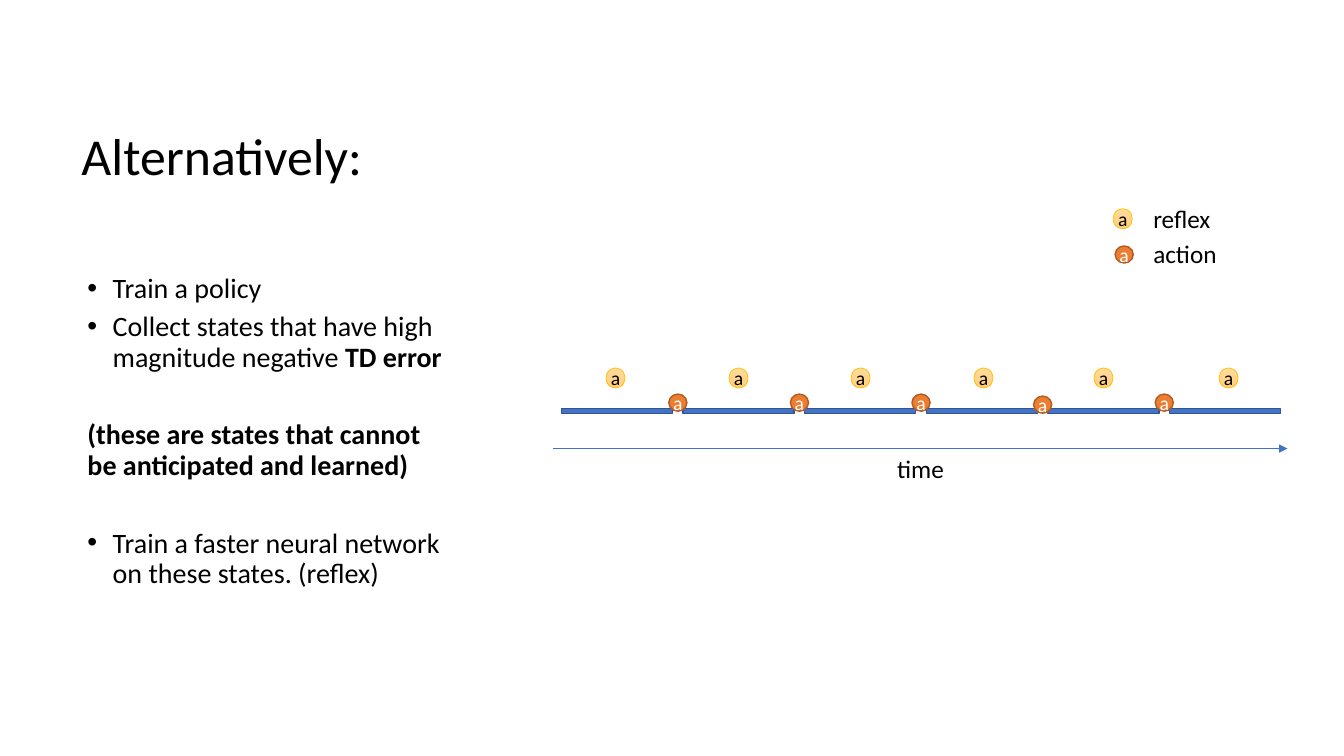
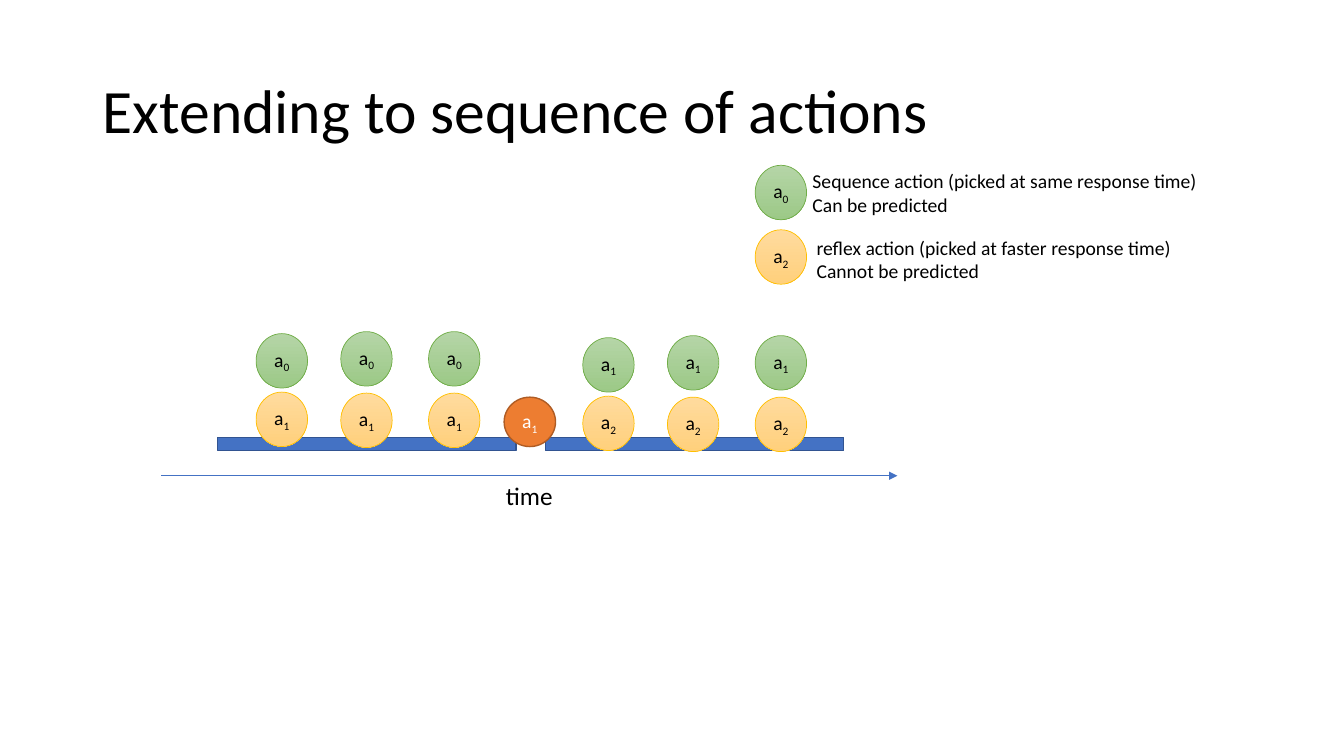
from lxml import etree
from pptx import Presentation
from pptx.dml.color import RGBColor
from pptx.enum.shapes import MSO_CONNECTOR, MSO_SHAPE
from pptx.enum.text import MSO_ANCHOR, PP_ALIGN
from pptx.oxml.ns import qn
from pptx.util import Inches, Pt

# Shared look
FONT = "Calibri"
BLACK, WHITE, BLUE = "000000", "FFFFFF", "4472C4"
BAR = {"fill": [BLUE], "line": "325491", "width": 1}
DISCS = {
    "action": {"fill": ["ED7D31"], "line": "AF5C24", "width": 1, "color": WHITE},
    "reflex": {"fill": ["FFDB9E", "FFD07C"], "line": "FFC000", "width": 0.5, "color": BLACK},
    "sequence": {"fill": ["B5D5A7", "9CC987"], "line": "70AD47", "width": 0.5, "color": BLACK},
}

# Slide 1 content: bulleted, space after, runs of (text, bold)
STEPS = [
    (True, 6, [("Train a policy", False)]),
    (True, 34, [("Collect states that have high magnitude negative ", False),
                ("TD error", True)]),
    (False, 34, [("(these are states that cannot be anticipated and learned)", True)]),
    (True, 6, [("Train a faster neural network on these states. (reflex)", False)]),
]
SMALL = {"action": (0.18, 0.17), "reflex": (0.19, 0.2)}
REFLEX_X = [6.01, 7.23, 8.44, 9.66, 10.85, 12.09]
ACTION_Y = [3.91, 3.91, 3.91, 3.93, 3.91]
KEYS = [("reflex", 11.04, 2.07, 1.97), ("action", 11.06, 2.44, 2.32)]

# Slide 2 content
BIG = (0.51, 0.54)
GROUPS = [(2.54, 3.29, "0", "1"), (5.78, 3.33, "1", "2")]
COLUMNS = [(0, 0.02, 0.6), (0.84, 0, 0.61), (1.71, 0, 0.61)]
LEGEND = [
    ("sequence", "0", 1.64, 7.96, 1.63,
     ["Sequence action (picked at same response time)", "Can be predicted"]),
    ("reflex", "2", 2.28, 8, 2.29,
     ["reflex action (picked at faster response time)", "Cannot be predicted"]),
]


def rgb(code):
    return RGBColor.from_string(code)


def add_run(para, text, size, color=BLACK, bold=False):
    run = para.add_run()
    run.text = text
    look = {"name": FONT, "size": Pt(size), "bold": bold}
    for key, value in look.items():
        setattr(run.font, key, value)
    run.font.color.rgb = rgb(color)
    return run


def add_box(slide, box):
    frame = slide.shapes.add_textbox(*map(Inches, box)).text_frame
    frame.word_wrap = True
    return frame


def add_text(slide, box, lines, size, align=PP_ALIGN.LEFT):
    frame = add_box(slide, box)
    for i, line in enumerate(lines):
        para = frame.add_paragraph() if i else frame.paragraphs[0]
        para.alignment = align
        add_run(para, line, size)
    return frame


def add_title(slide, box, text, size):
    frame = add_text(slide, box, [text], size)
    frame.vertical_anchor = MSO_ANCHOR.MIDDLE
    frame.paragraphs[0].line_spacing = 0.9


def add_shape(slide, kind, box, style):
    shape = slide.shapes.add_shape(kind, *map(Inches, box))
    shape.shadow.inherit = False
    if len(style["fill"]) == 1:
        shape.fill.solid()
        shape.fill.fore_color.rgb = rgb(style["fill"][0])
    else:
        shape.fill.gradient()
        shape.fill.gradient_angle = 270
        for stop, code in zip(shape.fill.gradient_stops, style["fill"]):
            stop.color.rgb = rgb(code)
    shape.line.color.rgb = rgb(style["line"])
    shape.line.width = Pt(style["width"])
    return shape


def add_disc(slide, kind, x, y, size, sub=""):
    style = DISCS[kind]
    frame = add_shape(slide, MSO_SHAPE.OVAL, (x, y, *size), style).text_frame
    frame.word_wrap = False
    frame.vertical_anchor = MSO_ANCHOR.MIDDLE
    for side in ("left", "right", "top", "bottom"):
        setattr(frame, f"margin_{side}", 0)
    para = frame.paragraphs[0]
    para.alignment = PP_ALIGN.CENTER
    add_run(para, "a", 14, style["color"])
    if sub:
        run = add_run(para, sub, 14, style["color"])
        run.font._element.set("baseline", "-25000")


def add_axis(slide, left, right, y, label):
    ends = map(Inches, (left, y, right, y))
    axis = slide.shapes.add_connector(MSO_CONNECTOR.STRAIGHT, *ends)
    axis.line.color.rgb = rgb(BLUE)
    axis.line.width = Pt(0.5)
    etree.SubElement(axis.line._get_or_add_ln(), qn("a:tailEnd"), type="triangle")
    etree.SubElement(axis._element.spPr, qn("a:effectLst"))
    add_text(slide, (label, y, 3.1, 0.4), ["time"], 18, PP_ALIGN.CENTER)


def add_steps(slide, box):
    frame = add_box(slide, box)
    for i, (bullet, after, runs) in enumerate(STEPS):
        para = frame.add_paragraph() if i else frame.paragraphs[0]
        para.line_spacing = 0.9
        para.space_after = Pt(after)
        props = para._p.get_or_add_pPr()
        props.set("marL", str(Inches(0.31 if bullet else 0.06)))
        props.set("indent", str(Inches(-0.25 if bullet else 0)))
        if bullet:
            etree.SubElement(props, qn("a:buFont"), typeface="Arial")
            etree.SubElement(props, qn("a:buChar"), char="•")
        for text, bold in runs:
            add_run(para, text, 20, bold=bold)


def build_policy(slide):
    add_title(slide, (0.71, 0.69, 3.83, 1.77), "Alternatively:", 37)
    add_steps(slide, (0.71, 2.67, 3.83, 4.14))
    # Time line: action discs sit on the gaps between bars
    first, last, width = 5.57, 11.6, 1.1
    pitch = (last - first) / len(ACTION_Y)
    for i in range(len(ACTION_Y) + 1):
        add_shape(slide, MSO_SHAPE.RECTANGLE,
                  (first + i * pitch, 4.05, width, 0.05), BAR)
    add_axis(slide, 5.48, 12.77, 4.45, 7.58)
    for i, y in enumerate(ACTION_Y):
        mid = first + i * pitch + (width + pitch) / 2
        add_disc(slide, "action", mid - SMALL["action"][0] / 2, y, SMALL["action"])
    for x in REFLEX_X:
        add_disc(slide, "reflex", x, 3.65, SMALL["reflex"])
    # Key
    for kind, x, y, top in KEYS:
        add_disc(slide, kind, x, y, SMALL[kind])
        add_text(slide, (11.34, top, 1.36, 0.4), [kind], 18)


def build_sequence(slide):
    add_title(slide, (0.92, 0.4, 11.5, 1.45), "Extending to sequence of actions", 44)
    for x in (2.16, 5.41):
        add_shape(slide, MSO_SHAPE.RECTANGLE, (x, 4.34, 2.96, 0.13), BAR)
    add_disc(slide, "action", 5, 3.94, (0.51, 0.49), "1")
    # Disc pairs before and after the action
    for left, top, upper, lower in GROUPS:
        for dx, high, low in COLUMNS:
            add_disc(slide, "sequence", left + dx, top + high, BIG, upper)
            add_disc(slide, "reflex", left + dx, top + low, BIG, lower)
    # Key
    for kind, sub, y, left, top, lines in LEGEND:
        add_disc(slide, kind, 7.49, y, BIG, sub)
        add_text(slide, (left, top, 5.11, 0.57), lines, 14)
    add_axis(slide, 1.6, 8.9, 4.72, 3.7)


def main():
    deck = Presentation()
    deck.slide_width, deck.slide_height = Inches(13.33), Inches(7.5)
    for build in (build_policy, build_sequence):
        build(deck.slides.add_slide(deck.slide_layouts[6]))
    deck.save("out.pptx")


if __name__ == "__main__":
    main()
